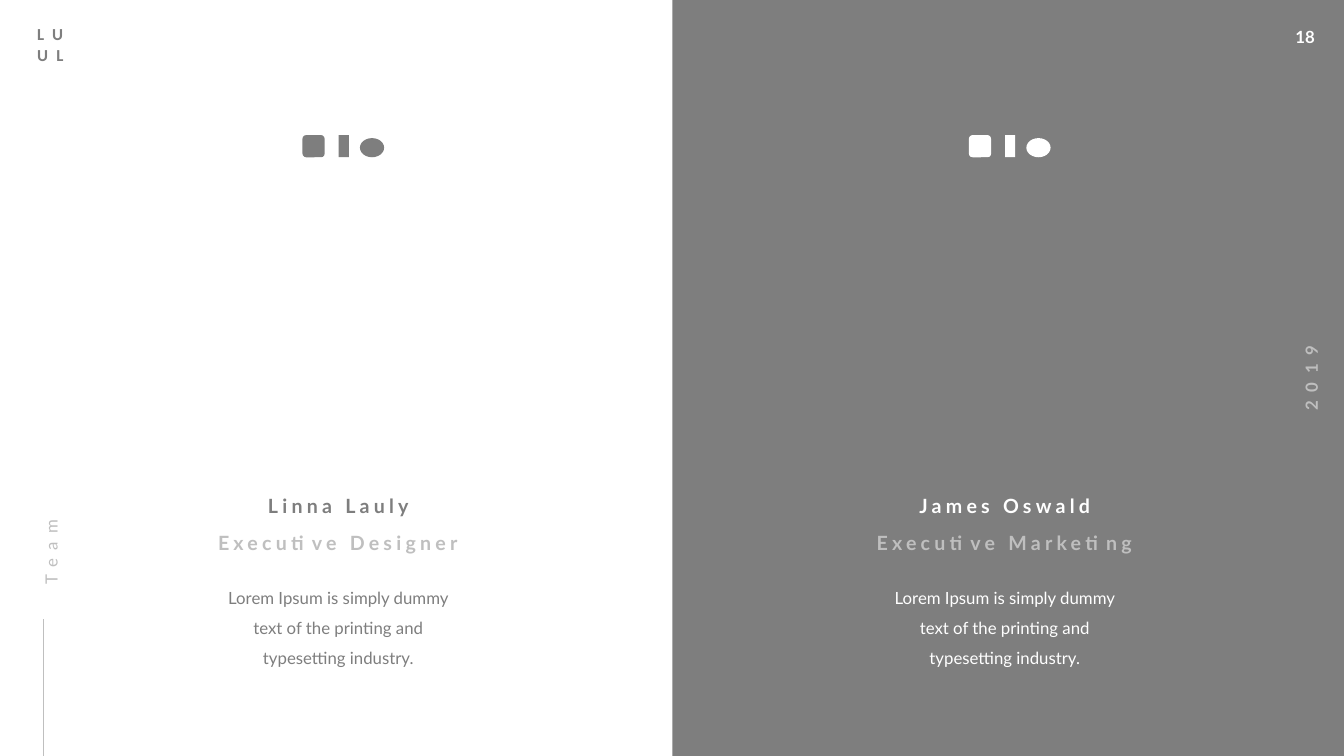
from dataclasses import dataclass

from lxml.etree import SubElement
from pptx import Presentation
from pptx.dml.color import RGBColor
from pptx.enum.shapes import MSO_CONNECTOR, MSO_SHAPE
from pptx.enum.text import MSO_AUTO_SIZE, PP_ALIGN
from pptx.oxml.ns import qn
from pptx.util import Inches, Pt


@dataclass(frozen=True)
class Theme:
    dark: RGBColor = RGBColor(0x7E, 0x7E, 0x7E)
    light: RGBColor = RGBColor(0xBF, 0xBF, 0xBF)
    white: RGBColor = RGBColor(0xFF, 0xFF, 0xFF)
    font: str = "Lato"
    monogram_font: str = "Calibri"
    body_size: int = 12
    name_size: int = 14


THEME = Theme()
WIDTH, HEIGHT = 13.33, 7.5
MEMBER_WIDTH = 6.61
BIOGRAPHY = "Lorem Ipsum is simply dummy text of the printing and typesetting industry."
TIGHT = (0, 0, 0.1, 0)
PADDED = (0.1, 0.05, 0.1, 0.05)


def add_text(slide, text, box, *, color, size=THEME.body_size, font=THEME.font,
             bold=False, spacing=0, align=PP_ALIGN.LEFT, line_spacing=None,
             margins=TIGHT, wrap=True, rotation=0):
    shape = slide.shapes.add_textbox(*map(Inches, box))
    shape.rotation = rotation
    frame = shape.text_frame
    frame.word_wrap = wrap
    frame.auto_size = MSO_AUTO_SIZE.SHAPE_TO_FIT_TEXT
    (frame.margin_left, frame.margin_top,
     frame.margin_right, frame.margin_bottom) = map(Inches, margins)
    frame.text = text
    for paragraph in frame.paragraphs:
        paragraph.alignment = align
        paragraph.line_spacing = line_spacing
        for run in paragraph.runs:
            run.font.name = font
            run.font.size = Pt(size)
            run.font.bold = bold
            run.font.color.rgb = color
            if spacing:
                run.font._element.set("spc", str(spacing * 100))


def add_block(slide, kind, box, color):
    shape = slide.shapes.add_shape(kind, *map(Inches, box))
    shape.shadow.inherit = False
    shape.fill.solid()
    shape.fill.fore_color.rgb = color
    shape.line.fill.background()


def add_icons(slide, left, top, color):
    # One plain shape stands for each social network
    icons = ((MSO_SHAPE.ROUNDED_RECTANGLE, 0, 0, 0.22, 0.22),
             (MSO_SHAPE.RECTANGLE, 0.36, 0, 0.1, 0.22),
             (MSO_SHAPE.OVAL, 0.57, 0.03, 0.24, 0.19))
    for kind, x, y, width, height in icons:
        add_block(slide, kind, (left + x, top + y, width, height), color)


def add_member(slide, left, name, role, color):
    add_icons(slide, left + 3, 1.34, color)
    heading = dict(size=THEME.name_size, bold=True, spacing=3, align=PP_ALIGN.CENTER)
    add_text(slide, name, (left + 2.35, 4.9, 2.11, 0.24), color=color, **heading)
    add_text(slide, role, (left + 1.87, 5.27, 3.06, 0.24), color=THEME.light, **heading)
    add_text(slide, BIOGRAPHY, (left + 2.23, 5.73, 2.35, 0.87), color=color,
             align=PP_ALIGN.CENTER, line_spacing=1.5)


def add_left_margin(slide, left):
    # Monogram
    add_text(slide, "LU\nUL", (left + 0.27, 0.19, 0.59, 0.5), color=THEME.dark,
             font=THEME.monogram_font, bold=True, spacing=6, margins=PADDED)
    # Section label above its rule
    add_text(slide, "Team", (left - 0.49, 4.74, 1.85, 0.26), color=THEME.light,
             spacing=6, line_spacing=1.5, rotation=270)
    x = Inches(left + 0.43)
    rule = slide.shapes.add_connector(
        MSO_CONNECTOR.STRAIGHT, x, Inches(HEIGHT), x, Inches(6.14))
    rule.line.color.rgb = THEME.light
    rule.line.width = Pt(0.5)
    SubElement(rule._element.spPr, qn("a:effectLst"))


def add_right_margin(slide, right):
    # Page number and year
    add_text(slide, "18", (right - 0.58, 0.22, 0.41, 0.3), color=THEME.white,
             bold=True, margins=PADDED, wrap=False)
    add_text(slide, "2019", (right - 0.79, 3.6, 0.93, 0.3), color=THEME.light,
             bold=True, spacing=6, align=PP_ALIGN.CENTER, margins=PADDED,
             wrap=False, rotation=270)


def build_team_slide(presentation):
    slide = presentation.slides.add_slide(presentation.slide_layouts[6])
    # Right half panel
    add_block(slide, MSO_SHAPE.RECTANGLE, (6.67, 0, WIDTH - 6.67, HEIGHT), THEME.dark)
    # Team members
    members = (("Linna Lauly", "Executive Designer", THEME.dark),
               ("James Oswald", "Executive Marketing", THEME.white))
    for index, member in enumerate(members):
        add_member(slide, index * MEMBER_WIDTH, *member)
    # Page margins
    add_left_margin(slide, 0)
    add_right_margin(slide, WIDTH)


def main():
    presentation = Presentation()
    presentation.slide_width = Inches(WIDTH)
    presentation.slide_height = Inches(HEIGHT)
    build_team_slide(presentation)
    presentation.save("out.pptx")


if __name__ == "__main__":
    main()
